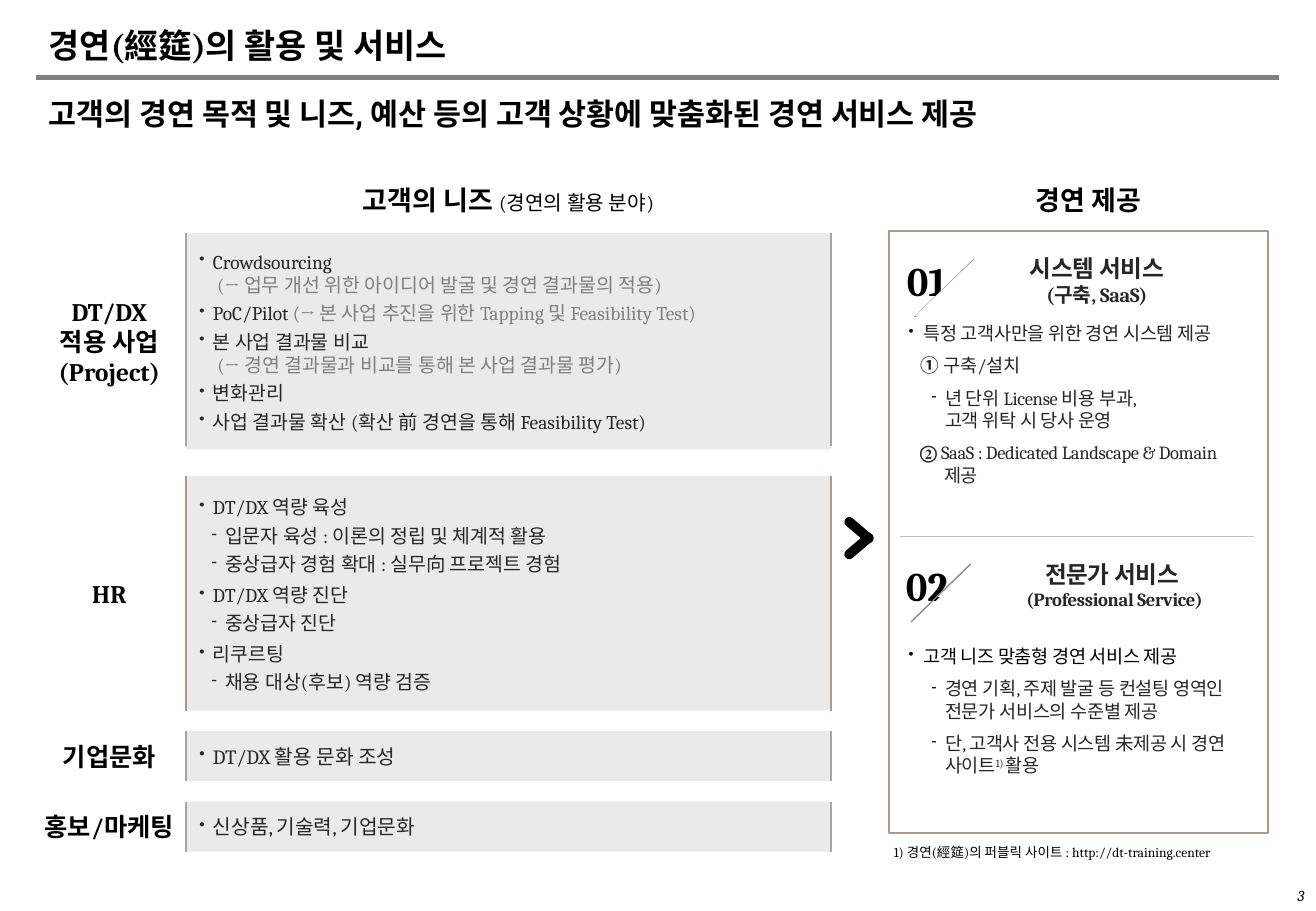
from lxml import etree
from pptx import Presentation
from pptx.dml.color import RGBColor
from pptx.enum.shapes import MSO_CONNECTOR, MSO_SHAPE as SHAPE
from pptx.enum.text import MSO_ANCHOR as ANCHOR, MSO_AUTO_SIZE as AUTOSIZE, PP_ALIGN as ALIGN
from pptx.oxml.ns import qn
from pptx.util import Pt

rgb = RGBColor.from_string
BLACK, DARK, GREY, PANEL = "000000", "262626", "808080", "EAEAEA"
SILVER, BROWN = "A6A6A6", "AD9A8B"

# Paragraph styles: bullet, bullet colour, left, first-line indent, space after, line spacing
STYLES = {
    "left": (None, None, 0, 0, 0, 1),
    "center": (None, None, 0, 0, 0, 1),
    "right": (None, None, 0, 0, 0, 1),
    "need": ("•", DARK, 8, -8, 3, 1),
    "need wide": ("•", DARK, 8, -8, 3, 1.1),
    "need sub": ("-", DARK, 15.2, -8, 3, 1),
    "offer": ("•", "0D0D0D", 8.6, -8.6, 6, 1),
    "offer number": (None, None, 7.2, 0, 6, 1),
    "offer hanging": (None, None, 21, -14.4, 6, 1),
    "offer sub": ("-", "0D0D0D", 21.6, -8, 6, 1),
}

prs = Presentation()
prs.slide_width, prs.slide_height = Pt(780), Pt(540)
slide = prs.slides.add_slide(prs.slide_layouts[1])
shapes = slide.shapes


def write(holder, paragraphs, inset=(8, 3.6), anchor=ANCHOR.TOP, wrap=True, font="Cambria", spacing=0):
    """Fill a holder with (style, runs); a run is (text, size, colour, bold, raised)."""
    if isinstance(holder, tuple):
        holder = shapes.add_textbox(*map(Pt, holder))
    frame = holder.text_frame
    frame.auto_size, frame.word_wrap, frame.vertical_anchor = AUTOSIZE.NONE, wrap, anchor
    frame.margin_left = frame.margin_right = Pt(inset[0])
    frame.margin_top = frame.margin_bottom = Pt(inset[1])
    for i, (style, runs) in enumerate(paragraphs):
        para = frame.paragraphs[0] if i == 0 else frame.add_paragraph()
        bullet, bullet_colour, left, indent, after, line_spacing = STYLES[style]
        props = para._p.get_or_add_pPr()
        props.set("marL", str(Pt(left)))
        props.set("indent", str(Pt(indent)))
        if bullet:
            colour = etree.SubElement(props, qn("a:buClr"))
            etree.SubElement(colour, qn("a:srgbClr"), val=bullet_colour)
            etree.SubElement(props, qn("a:buSzPct"), val="80000")
            etree.SubElement(props, qn("a:buChar"), char=bullet)
        else:
            etree.SubElement(props, qn("a:buNone"))
        para.alignment = {"center": ALIGN.CENTER, "right": ALIGN.RIGHT}.get(style, ALIGN.LEFT)
        para.space_before, para.space_after, para.line_spacing = Pt(0), Pt(after), line_spacing
        for text, size, colour, bold, *raised in runs:
            for n, part in enumerate(text.split("\n")):
                if n:
                    para.add_line_break()
                if not part:
                    continue
                run = para.add_run()
                run.text = part
                run.font.name, run.font.size, run.font.bold = font, Pt(size), bold
                run.font.color.rgb = rgb(colour)
                if spacing:
                    run.font._element.set("spc", str(spacing))
                if raised:
                    run.font._element.set("baseline", "30000")
    return frame


def rule(x1, y1, x2, y2, colour, width):
    line = shapes.add_connector(MSO_CONNECTOR.STRAIGHT, *map(Pt, (x1, y1, x2, y2)))
    line.line.color.rgb, line.line.width = rgb(colour), Pt(width)
    etree.SubElement(line._element.spPr, qn("a:effectLst"))


# Title, key message and page number
rule(21.6, 46.1, 758.2, 46.1, GREY, 3)
title, message = shapes.title, slide.placeholders[1]
for holder, top, height in ((title, 10.8, 31.7), (message, 53.3, 28.1)):
    holder.left, holder.top, holder.width, holder.height = map(Pt, (21.6, top, 737.3, height))
write(title, [("left", [("경연(經筵)의 활용 및 서비스", 20, BLACK, True)])], (7.2, 3.6), ANCHOR.MIDDLE)
write(message, [("left", [("고객의 경연 목적 및 니즈, 예산 등의 고객 상황에 맞춤화된 경연 서비스 제공", 18, BLACK, True)])],
      (7.2, 2.9), font="Roboto")
page = write((750, 522, 30.2, 18), [("right", [("3", 9, BLACK, False)])], (7.2, 3.6), ANCHOR.MIDDLE)
page.paragraphs[0].runs[0].font.italic = True

# Column headings
headings = [
    (110.2, 382.3, [("고객의 니즈 ", 16, BLACK, True), ("(경연의 활용 분야)", 12, BLACK, False)]),
    (538.6, 213.1, [("경연 제공", 16, BLACK, True)]),
]
for left, width, runs in headings:
    write((left, 105.8, width, 25.2), [("center", runs)], anchor=ANCHOR.MIDDLE, wrap=False)

# Customer needs: label, top, height, border height, border colour, items
needs = [
    (["DT/DX", "적용 사업\n(Project)"], 138.2, 128.2, 126, SILVER, [
        ("need", [("Crowdsourcing\n ", 11.5, DARK, False),
                  ("(→ 업무 개선 위한 아이디어 발굴 및 경연 결과물의 적용)", 11.5, GREY, False)]),
        ("need", [("PoC/Pilot ", 11.5, DARK, False),
                  ("(→ 본 사업 추진을 위한 Tapping 및 Feasibility Test)", 11.5, GREY, False)]),
        ("need", [("본 사업 결과물 비교 \n ", 11.5, DARK, False),
                  ("(→ 경연 결과물과 비교를 통해 본 사업 결과물 평가)", 11.5, GREY, False)]),
        ("need", [("변화관리", 11.5, DARK, False)]),
        ("need", [("사업 결과물 확산 (확산 前 경연을 통해 Feasibility Test)", 11.5, DARK, False)]),
    ]),
    (["HR"], 282.2, 139, 139, BROWN, [
        ("need wide", [("DT/DX 역량 육성", 11.5, DARK, False)]),
        ("need sub", [("입문자 육성 : 이론의 정립 및 체계적 활용", 11.5, DARK, False)]),
        ("need sub", [("중상급자 경험 확대 : 실무向 프로젝트 경험", 11.5, DARK, False)]),
        ("need wide", [("DT/DX 역량 진단", 11.5, DARK, False)]),
        ("need sub", [("중상급자 진단", 11.5, DARK, False)]),
        ("need wide", [("리쿠르팅", 11.5, DARK, False)]),
        ("need sub", [("채용 대상(후보) 역량 검증", 11.5, DARK, False)]),
    ]),
    (["기업문화"], 433.4, 29.6, 29.6, SILVER, [("need", [("DT/DX 활용 문화 조성", 12, DARK, False)])]),
    (["홍보/마케팅"], 475.2, 29.6, 29.6, SILVER, [("need", [("신상품, 기술력, 기업문화", 12, DARK, False)])]),
]
for label, top, height, border, colour, items in needs:
    panel = shapes.add_shape(SHAPE.RECTANGLE, *map(Pt, (110.2, top, 382.3, height)))
    panel.shadow.inherit = False
    panel.fill.solid()
    panel.fill.fore_color.rgb = rgb(PANEL)
    panel.line.fill.background()
    write(panel, items, anchor=ANCHOR.MIDDLE)
    for x in (110.2, 492.5):
        rule(x, top, x, top + border, colour, 1)
    write((22.3, top, 85, height), [("center", [(text, 15, BLACK, True)]) for text in label],
          anchor=ANCHOR.MIDDLE, wrap=False)

# Chevron from needs to services
for top, angle in ((303.8, 130.5), (313.2, 229.5)):
    arm = shapes.add_shape(SHAPE.ROUNDED_RECTANGLE, *map(Pt, (506.2, top, 5.8, 20.9)))
    arm.adjustments[0], arm.rotation = 0.5, angle
    arm.shadow.inherit = False
    arm.fill.solid()
    arm.fill.fore_color.rgb = rgb(BLACK)
    arm.line.fill.background()

# Service frame
service_frame = shapes.add_shape(SHAPE.RECTANGLE, *map(Pt, (527, 136.8, 224.6, 357.1)))
service_frame.shadow.inherit = False
service_frame.fill.background()
service_frame.line.color.rgb, service_frame.line.width = rgb(BROWN), Pt(1)
rule(533.5, 318.2, 743, 318.2, "BFBFBF", 0.75)

# Services: number, top, slash right end, heading place, heading runs, list top, items
services = [
    ("01", 148.3, 577.4, (571.7, 150.5, 157, 31.7),
     [("시스템 서비스\n", 14, DARK, True), ("(구축, SaaS)", 12, DARK, True)], 190.8, [
        ("offer", [("특정 고객사만을 위한 경연 시스템 제공", 11, DARK, False)]),
        ("offer number", [("① ", 11, DARK, True), ("구축/설치", 11, DARK, False)]),
        ("offer sub", [("년 단위 License 비용 부과, \n고객 위탁 시 당사 운영", 11, DARK, False)]),
        ("offer hanging", [("②", 11, DARK, True),
                           (" SaaS : Dedicated Landscape & Domain 제공", 11, DARK, False)]),
    ]),
    ("02", 329, 575.3, (574.6, 331.9, 172.1, 30.2),
     [("전문가 서비스 \n", 14, DARK, True), ("(Professional Service)", 11, DARK, True)], 382.3, [
        ("offer", [("고객 니즈 맞춤형 경연 서비스 제공", 11, BLACK, False)]),
        ("offer sub", [("경연 기획, 주제 발굴 등 컨설팅 영역인 전문가 서비스의 수준별 제공", 11, DARK, False)]),
        ("offer sub", [("단, 고객사 전용 시스템 未제공 시 경연 사이트", 11, DARK, False),
                       ("1) ", 11, DARK, False, True), ("활용", 11, DARK, False)]),
    ]),
]
for number, top, slash_x, heading_place, heading, list_top, items in services:
    write((532.1, top, 34.6, 35.3), [("center", [(number, 24, BLACK, True)])], (0, 0), ANCHOR.MIDDLE)
    rule(slash_x, top + 5.4, slash_x - 35.3, top + 39.6, GREY, 0.75)
    corner = shapes.add_shape(SHAPE.ISOSCELES_TRIANGLE, *map(Pt, (542.2, top + 5.4, 35.3, 33.8)))
    corner.adjustments[0] = 1
    corner.shadow.inherit = False
    corner.fill.solid()
    corner.fill.fore_color.rgb = rgb("FFFFFF")
    corner.line.fill.background()
    write(heading_place, [("center", heading)], (0, 0), spacing=-20)
    write((538.6, list_top, 204, 98), items, (0, 0), spacing=-20)

# Footnote
write((522.7, 496.8, 218.2, 17.3),
      [("left", [("1) 경연(經筵)의 퍼블릭 사이트 : http://dt-training.center", 8, BLACK, False)])],
      (7.2, 3.6), wrap=False)

prs.save("out.pptx")
